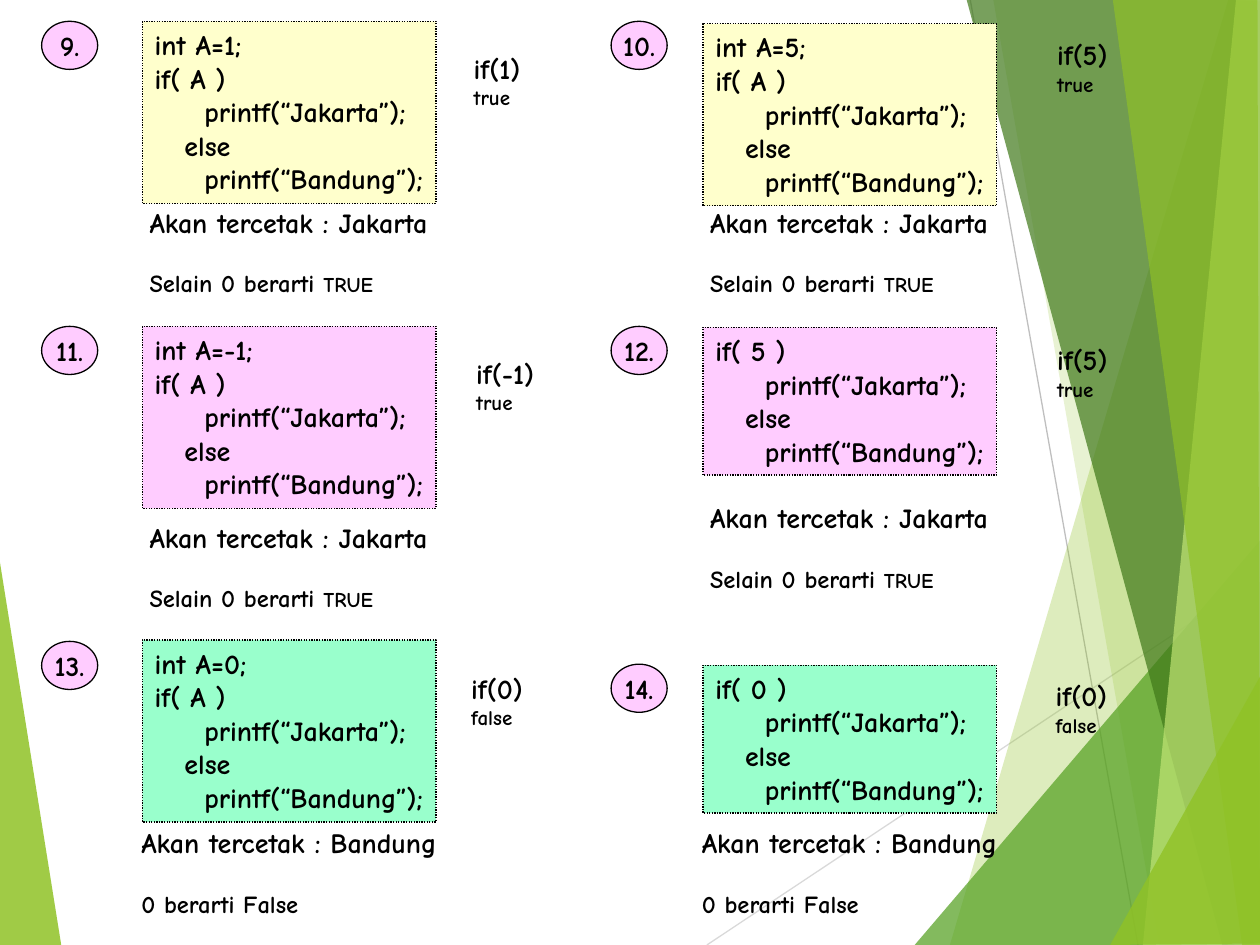
import pptx
import pptx.util
import pptx.dml.color
import pptx.enum.dml
import pptx.enum.shapes
import pptx.enum.text
import pptx.oxml
import pptx.oxml.ns

Cm = pptx.util.Cm
COLORS = {
    "text": "000000", "badge": "FFCCFF", "yellow": "FFFFCC", "pink": "FFCCFF",
    "mint": "99FFCC", "lime": "90C226", "green": "54A021", "forest": "3F7819",
    "pale": "C0E474", "light_gray": "D9D9D9", "gray": "BFBFBF",
}
BRANCHES = ["     printf(“Jakarta”);", "   else", "     printf(“Bandung”);"]
COLUMN_STEP = 11.3
CODE_WIDTH = 5.92
ANSWER_CENTER = 5.85

FACETS_BEHIND = [("lime", 85, [(-0.03, 11.15), (1.24, 19.08), (-0.03, 19.05)])]
FACETS_FRONT = [
    ("lime", 30, [(24.76, 0), (19.15, 19.05), (25.45, 19.08), (25.43, 0.03)]),
    ("lime", 20, [(20.02, -0.03), (23.37, 19.05), (25.43, 19.05), (25.43, -0.03)]),
    ("green", 72, [(18.44, 19.05), (25.4, 10.9), (25.43, 19.05)]),
    ("forest", 70, [(19.48, -0.03), (24.64, 19.05), (25.43, 19.02), (25.43, -0.03)]),
    ("pale", 70, [(24.92, -0.03), (23.04, 19.05), (25.43, 19.05), (25.4, -0.03)]),
    ("lime", 65, [(22.43, -0.03), (25.04, 19.05), (25.4, 19.05), (25.35, -0.03)]),
    ("lime", 80, [(22.38, 19.05), (25.43, 13.59), (25.43, 19.02)]),
]
RAYS = [("light_gray", 14.25, 19.05, 25.43, 11.61), ("gray", 19.56, 0, 22.94, 19.05)]

NONZERO = ("Jakarta", [("Selain 0 berarti ", 14), ("TRUE", 12)], 6.17, "true")
ZERO = ("Bandung", [("0 berarti False", 14)], 6.5, "false")
EXERCISES = [
    (9, "yellow", ["int A=1;", "if( A )"], NONZERO, 0.43, 0.43, 4.01, "if(1)", 9.3, 0.91, 1.45),
    (10, "yellow", ["int A=5;", "if( A )"], NONZERO, 0.43, 0.48, 4.01, "if(5)", 21.06, 0.64, 1.52),
    (11, "pink", ["int A=-1;", "if( A )"], NONZERO, 6.58, 6.58, 10.36, "if(-1)", 9.35, 7.06, 1.68),
    (12, "pink", ["if( 5 )"], NONZERO, 6.58, 6.6, 9.96, "if(5)", 21.06, 6.78, 1.52),
    (13, "mint", ["int A=0;", "if( A )"], ZERO, 12.93, 12.9, 16.51, "if(0)", 9.25, 13.41, 1.55),
    (14, "mint", ["if( 0 )"], ZERO, 13.39, 13.41, 16.51, "if(0)", 21.03, 13.56, 1.55),
]


def rgb(name):
    return pptx.dml.color.RGBColor.from_string(COLORS[name])


def add_run(paragraph, text, size=16, color="text", font="Comic Neue", bold=True):
    run = paragraph.add_run()
    run.text = text
    run.font.name = font
    run.font.size = pptx.util.Pt(size)
    run.font.bold = bold
    run.font.color.rgb = rgb(color)


class SlideBuilder:
    line_width = pptx.util.Pt(0.75)

    def __init__(self, slide):
        self.slide = slide

    def facet(self, color, opacity, points):
        corners = [(Cm(x), Cm(y)) for x, y in points]
        builder = self.slide.shapes.build_freeform(*corners[0])
        builder.add_line_segments(corners[1:], close=True)
        shape = builder.convert_to_shape()
        shape.shadow.inherit = False
        shape.fill.solid()
        shape.fill.fore_color.rgb = rgb(color)
        shape.line.fill.background()
        color_element = shape._element.spPr.find(".//" + pptx.oxml.ns.qn("a:srgbClr"))
        alpha = pptx.oxml.parse_xml(
            f'<a:alpha {pptx.oxml.ns.nsdecls("a")} val="{opacity * 1000}"/>')
        color_element.append(alpha)

    def ray(self, color, *ends):
        connector = self.slide.shapes.add_connector(
            pptx.enum.shapes.MSO_CONNECTOR.STRAIGHT, *map(Cm, ends))
        connector.line.color.rgb = rgb(color)
        connector.line.width = self.line_width
        connector._element.spPr.append(
            pptx.oxml.parse_xml(f'<a:effectLst {pptx.oxml.ns.nsdecls("a")}/>'))

    def outlined(self, kind, color, *box):
        shape = self.slide.shapes.add_shape(kind, *map(Cm, box))
        shape.shadow.inherit = False
        shape.fill.solid()
        shape.fill.fore_color.rgb = rgb(color)
        shape.line.color.rgb = rgb("text")
        shape.line.width = self.line_width
        return shape

    def set_lines(self, shape, lines, align=pptx.enum.text.PP_ALIGN.LEFT,
                  anchor=pptx.enum.text.MSO_ANCHOR.TOP, grow=True, gap=0):
        frame = shape.text_frame
        frame.word_wrap = False
        frame.vertical_anchor = anchor
        if grow:
            frame.auto_size = pptx.enum.text.MSO_AUTO_SIZE.SHAPE_TO_FIT_TEXT
        for index, runs in enumerate(lines):
            paragraph = frame.add_paragraph() if index else frame.paragraphs[0]
            paragraph.alignment = align
            if index and gap:
                paragraph.space_before = pptx.util.Pt(gap)
            for text, size in runs:
                add_run(paragraph, text, size=size)

    def badge(self, number, left, top):
        shape = self.outlined(pptx.enum.shapes.MSO_SHAPE.OVAL, "badge", left, top, 1.13, 0.97)
        self.set_lines(shape, [[(f"{number}.", 16)]], align=pptx.enum.text.PP_ALIGN.CENTER,
                       anchor=pptx.enum.text.MSO_ANCHOR.MIDDLE, grow=False)

    def code(self, lines, color, left, top):
        height = 0.22 + 0.69 * len(lines)
        shape = self.outlined(
            pptx.enum.shapes.MSO_SHAPE.RECTANGLE, color, left, top, CODE_WIDTH, height)
        shape.line.dash_style = pptx.enum.dml.MSO_LINE.ROUND_DOT
        self.set_lines(shape, [[(line, 16)] for line in lines])

    def label(self, lines, *box, gap=0):
        shape = self.slide.shapes.add_textbox(*map(Cm, box))
        self.set_lines(shape, lines, gap=gap)


def main():
    presentation = pptx.Presentation()
    presentation.slide_width = Cm(25.4)
    presentation.slide_height = Cm(19.05)
    builder = SlideBuilder(presentation.slides.add_slide(presentation.slide_layouts[6]))

    for facet in FACETS_BEHIND:
        builder.facet(*facet)
    for ray in RAYS:
        builder.ray(*ray)
    for facet in FACETS_FRONT:
        builder.facet(*facet)

    for index, exercise in enumerate(EXERCISES):
        (number, color, opening, outcome, badge_top, code_top, answer_top,
         condition, check_left, check_top, check_width) = exercise
        city, reason, answer_width, truth = outcome
        column = index % 2
        shift = column * COLUMN_STEP
        builder.badge(number, 0.84 + column * 11.48, badge_top)
        builder.code(opening + BRANCHES, color, 2.87 + shift, code_top)
        builder.label([[(f"Akan tercetak : {city}", 16)], reason],
                      ANSWER_CENTER - answer_width / 2 + shift, answer_top,
                      answer_width, 2.13, gap=17)
        builder.label([[(condition, 16)], [(truth, 12)]],
                      check_left, check_top, check_width, 1.45)

    presentation.save("out.pptx")


if __name__ == "__main__":
    main()
